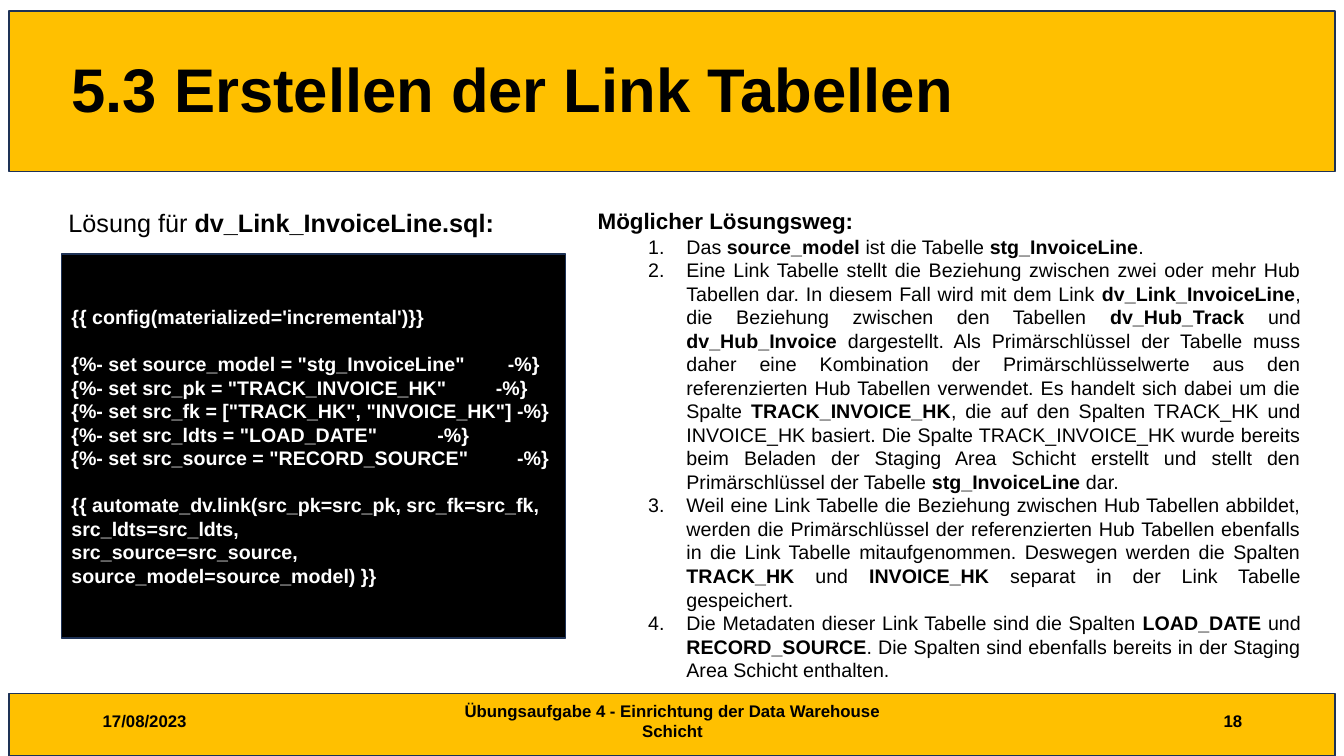
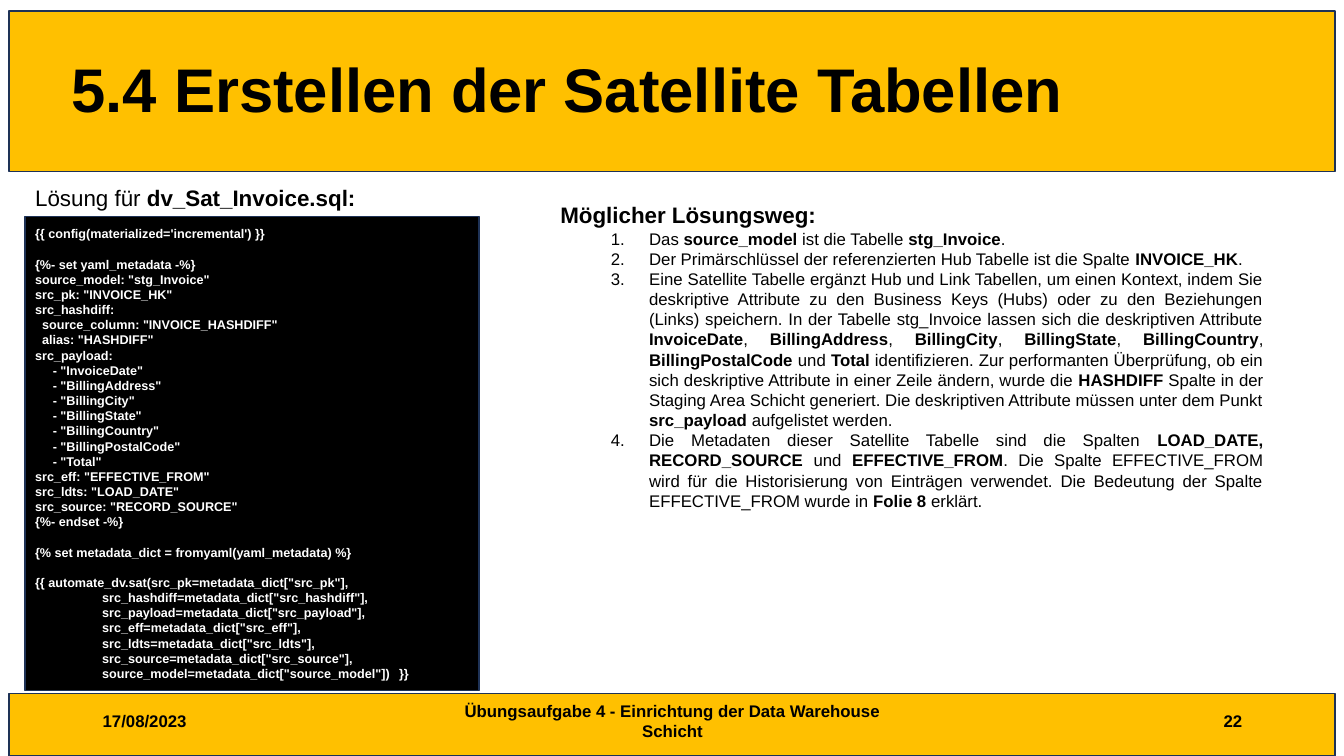
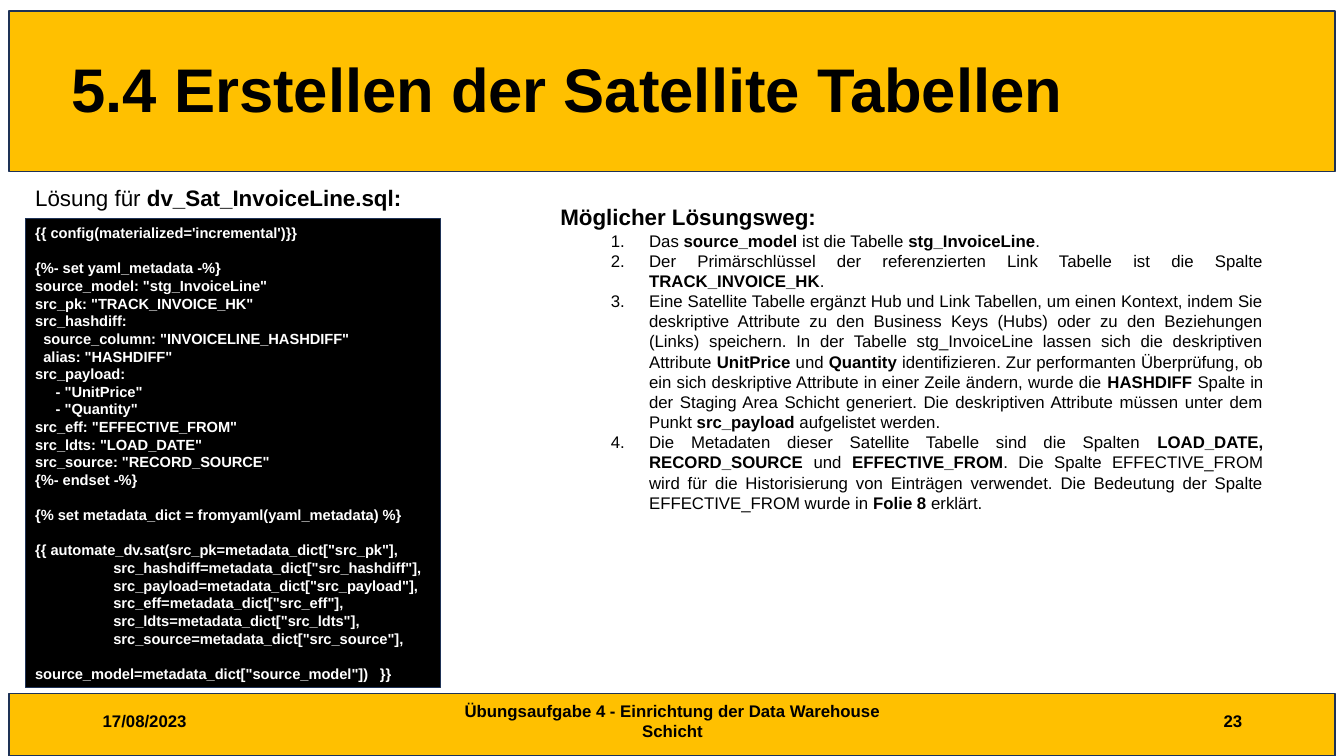
from lxml import etree
from pptx import Presentation
from pptx.dml.color import RGBColor
from pptx.enum import shapes, text
from pptx.oxml import ns
from pptx.util import Inches, Pt

YELLOW = RGBColor(0xFF, 0xC0, 0x00)
NAVY = RGBColor(0x1E, 0x32, 0x56)
BLACK = RGBColor(0, 0, 0)
WHITE = RGBColor(0xFF, 0xFF, 0xFF)
FONT = "Arial"
LINE_HEIGHT = 1.2
SPACE_WIDTH = 0.28

DATE = "17/08/2023"
FOOTER = "Übungsaufgabe 4 - Einrichtung der Data Warehouse Schicht"
STEPS_HEADING = "Möglicher Lösungsweg:"

LINK_CODE = """\
{{ config(materialized='incremental')}}

{%- set source_model = "stg_InvoiceLine"\t-%}
{%- set src_pk = "TRACK_INVOICE_HK"\t-%}
{%- set src_fk = ["TRACK_HK", "INVOICE_HK"] -%}
{%- set src_ldts = "LOAD_DATE"\t-%}
{%- set src_source = "RECORD_SOURCE"\t-%}

{{ automate_dv.link(src_pk=src_pk, src_fk=src_fk, src_ldts=src_ldts,
src_source=src_source, source_model=source_model) }}"""

LINK_STEPS = [
    "Das **source_model** ist die Tabelle **stg_InvoiceLine**.",
    "Eine Link Tabelle stellt die Beziehung zwischen zwei oder mehr Hub Tabellen dar. "
    "In diesem Fall wird mit dem Link **dv_Link_InvoiceLine**, die Beziehung zwischen den "
    "Tabellen **dv_Hub_Track** und **dv_Hub_Invoice** dargestellt. Als Primärschlüssel der "
    "Tabelle muss daher eine Kombination der Primärschlüsselwerte aus den referenzierten Hub "
    "Tabellen verwendet. Es handelt sich dabei um die Spalte **TRACK_INVOICE_HK**, die auf den "
    "Spalten TRACK_HK und INVOICE_HK basiert. Die Spalte TRACK_INVOICE_HK wurde bereits beim "
    "Beladen der Staging Area Schicht erstellt und stellt den Primärschlüssel der Tabelle "
    "**stg_InvoiceLine** dar.",
    "Weil eine Link Tabelle die Beziehung zwischen Hub Tabellen abbildet, werden die "
    "Primärschlüssel der referenzierten Hub Tabellen ebenfalls in die Link Tabelle "
    "mitaufgenommen. Deswegen werden die Spalten **TRACK_HK** und **INVOICE_HK** separat in "
    "der Link Tabelle gespeichert.",
    "Die Metadaten dieser Link Tabelle sind die Spalten **LOAD_DATE** und **RECORD_SOURCE**. "
    "Die Spalten sind ebenfalls bereits in der Staging Area Schicht enthalten.",
]


def satellite_code(config, table, key, hashdiff, payload, closing):
    payload_lines = "\n".join(f'     - "{column}"' for column in payload)
    indent = " " * 19
    arguments = "\n".join(f'{indent}{name}=metadata_dict["{name}"],' for name in
                          ("src_hashdiff", "src_payload", "src_eff", "src_ldts", "src_source"))
    return f"""\
{config}

{{%- set yaml_metadata -%}}
source_model: "{table}"
src_pk: "{key}"
src_hashdiff:
  source_column: "{hashdiff}"
  alias: "HASHDIFF"
src_payload:
{payload_lines}
src_eff: "EFFECTIVE_FROM"
src_ldts: "LOAD_DATE"
src_source: "RECORD_SOURCE"
{{%- endset -%}}

{{% set metadata_dict = fromyaml(yaml_metadata) %}}

{{{{ automate_dv.sat(src_pk=metadata_dict["src_pk"],
{arguments}
{closing}source_model=metadata_dict["source_model"])\t}}}}"""


def satellite_steps(table, parent, key, attributes):
    bold = [f"**{name}**" for name in attributes]
    listed = ", ".join(bold[:-1]) + " und " + bold[-1]
    return [
        f"Das **source_model** ist die Tabelle **{table}**.",
        f"Der Primärschlüssel der referenzierten {parent} Tabelle ist die Spalte **{key}**.",
        "Eine Satellite Tabelle ergänzt Hub und Link Tabellen, um einen Kontext, indem Sie "
        "deskriptive Attribute zu den Business Keys (Hubs) oder zu den Beziehungen (Links) "
        f"speichern. In der Tabelle {table} lassen sich die deskriptiven Attribute {listed} "
        "identifizieren. Zur performanten Überprüfung, ob ein sich deskriptive Attribute in "
        "einer Zeile ändern, wurde die **HASHDIFF** Spalte in der Staging Area Schicht "
        "generiert. Die deskriptiven Attribute müssen unter dem Punkt **src_payload** "
        "aufgelistet werden.",
        "Die Metadaten dieser Satellite Tabelle sind die Spalten **LOAD_DATE, RECORD_SOURCE** "
        "und **EFFECTIVE_FROM**. Die Spalte EFFECTIVE_FROM wird für die Historisierung von "
        "Einträgen verwendet. Die Bedeutung der Spalte EFFECTIVE_FROM wurde in **Folie 8** "
        "erklärt.",
    ]


def write(paragraph, marked, size, color=BLACK):
    """Fill a paragraph; parts between ** are bold."""
    for number, part in enumerate(marked.split("**")):
        if part:
            run = paragraph.add_run()
            run.text = part
            run.font.name = FONT
            run.font.size = Pt(size)
            run.font.bold = number % 2 == 1
            run.font.color.rgb = color


def add_panel(slide, place, fill):
    panel = slide.shapes.add_shape(shapes.MSO_SHAPE.RECTANGLE, *map(Inches, place))
    panel.shadow.inherit = False
    panel.fill.solid()
    panel.fill.fore_color.rgb = fill
    panel.line.color.rgb = NAVY
    panel.line.width = Pt(1)
    return panel


def add_label(slide, place, marked, size, align=text.PP_ALIGN.LEFT,
              anchor=text.MSO_ANCHOR.TOP):
    frame = slide.shapes.add_textbox(*map(Inches, place)).text_frame
    frame.word_wrap = True
    frame.vertical_anchor = anchor
    paragraph = frame.paragraphs[0]
    paragraph.alignment = align
    write(paragraph, marked, size)
    return frame


def set_tab_stops(paragraph, stops):
    tab_list = etree.SubElement(paragraph._p.get_or_add_pPr(), ns.qn("a:tabLst"))
    for stop in stops:
        etree.SubElement(tab_list, ns.qn("a:tab"), pos=str(Inches(stop)), algn="l")


def add_code(slide, place, code, size, gap_stops):
    """Empty lines become spacing, leading spaces a tab; gap_stops serve the inner tabs in order."""
    frame = add_panel(slide, place, BLACK).text_frame
    frame.word_wrap = True
    frame.vertical_anchor = text.MSO_ANCHOR.MIDDLE
    gaps = iter(gap_stops)
    paragraph, after_gap = frame.paragraphs[0], False
    for number, line in enumerate(code.split("\n")):
        if not line:
            after_gap = True
            continue
        if number:
            paragraph = frame.add_paragraph()
        paragraph.alignment = text.PP_ALIGN.LEFT
        if after_gap:
            paragraph.space_before = Pt(size * LINE_HEIGHT)
            after_gap = False
        content = line.lstrip(" ")
        indent = len(line) - len(content)
        stops = [indent * SPACE_WIDTH * size / 72] if indent else []
        if "\t" in content:
            stops.append(next(gaps))
        if stops:
            set_tab_stops(paragraph, stops)
        write(paragraph, ("\t" if indent else "") + f"**{content}**", size, WHITE)


def add_steps(slide, place, steps, size):
    frame = add_label(slide, place, f"**{STEPS_HEADING}**", 16)
    for step in steps:
        paragraph = frame.add_paragraph()
        paragraph.level = 1
        paragraph.alignment = text.PP_ALIGN.JUSTIFY
        properties = paragraph._p.get_or_add_pPr()
        properties.set("marL", str(Inches(0.88)))
        properties.set("indent", str(Inches(-0.38)))
        etree.SubElement(properties, ns.qn("a:buFont"), typeface="+mj-lt")
        etree.SubElement(properties, ns.qn("a:buAutoNum"), type="arabicPeriod")
        write(paragraph, step, size)


def add_base_slide(deck, title, number):
    """Blank slide with the title band and the footer band."""
    slide = deck.slides.add_slide(deck.slide_layouts[6])
    middle = text.MSO_ANCHOR.MIDDLE
    add_panel(slide, (0.09, 0.11, 13.15, 1.59), YELLOW)
    heading = add_label(slide, (0.61, 0.19, 12.54, 1.45), f"**{title}**", 44, anchor=middle)
    heading.paragraphs[0].line_spacing = 0.9
    add_panel(slide, (0.09, 6.88, 13.15, 0.62), YELLOW)
    for left, width, content, align in (
            (0.92, 3, DATE, text.PP_ALIGN.LEFT),
            (4.42, 4.5, FOOTER, text.PP_ALIGN.CENTER),
            (9.42, 3, number, text.PP_ALIGN.RIGHT)):
        add_label(slide, (left, 6.95, width, 0.4), f"**{content}**", 12, align, middle)
    return slide


def add_link_slide(deck):
    slide = add_base_slide(deck, "5.3 Erstellen der Link Tabellen", 18)
    add_label(slide, (0.58, 2.01, 4.65, 0.4), "Lösung für **dv_Link_InvoiceLine.sql:**", 18)
    add_code(slide, (0.61, 2.52, 5, 3.81), LINK_CODE, 14, (4.33, 4.21, 3.63, 4.42))
    add_steps(slide, (5.83, 2.01, 7.17, 4.85), LINK_STEPS, 14)


def add_satellite_slide(deck, number, file_name, code_place, code, code_size, gap_stop,
                        steps_top, steps):
    slide = add_base_slide(deck, "5.4 Erstellen der Satellite Tabellen", number)
    add_label(slide, (0.25, 1.78, 3.9, 0.37), f"Lösung für **{file_name}:**", 16)
    add_code(slide, code_place, code, code_size, [gap_stop])
    add_steps(slide, (5.46, steps_top, 7.17, 3.2), steps, 12)


def main():
    deck = Presentation()
    deck.slide_width, deck.slide_height = Inches(13.33), Inches(7.5)
    add_link_slide(deck)

    invoice = ("InvoiceDate", "BillingAddress", "BillingCity", "BillingState",
               "BillingCountry", "BillingPostalCode", "Total")
    add_satellite_slide(
        deck, 22, "dv_Sat_Invoice.sql", (0.25, 2.15, 4.5, 4.7),
        satellite_code("{{ config(materialized='incremental') }}", "stg_Invoice",
                       "INVOICE_HK", "INVOICE_HASHDIFF", invoice, " " * 19),
        9, 3.61, 1.95, satellite_steps("stg_Invoice", "Hub", "INVOICE_HK", invoice))

    invoice_line = ("UnitPrice", "Quantity")
    add_satellite_slide(
        deck, 23, "dv_Sat_InvoiceLine.sql", (0.25, 2.17, 4.12, 4.65),
        satellite_code("{{ config(materialized='incremental')}}", "stg_InvoiceLine",
                       "TRACK_INVOICE_HK", "INVOICELINE_HASHDIFF", invoice_line, "\n"),
        10.5, 3.42, 1.97,
        satellite_steps("stg_InvoiceLine", "Link", "TRACK_INVOICE_HK", invoice_line))

    deck.save("out.pptx")


if __name__ == "__main__":
    main()
